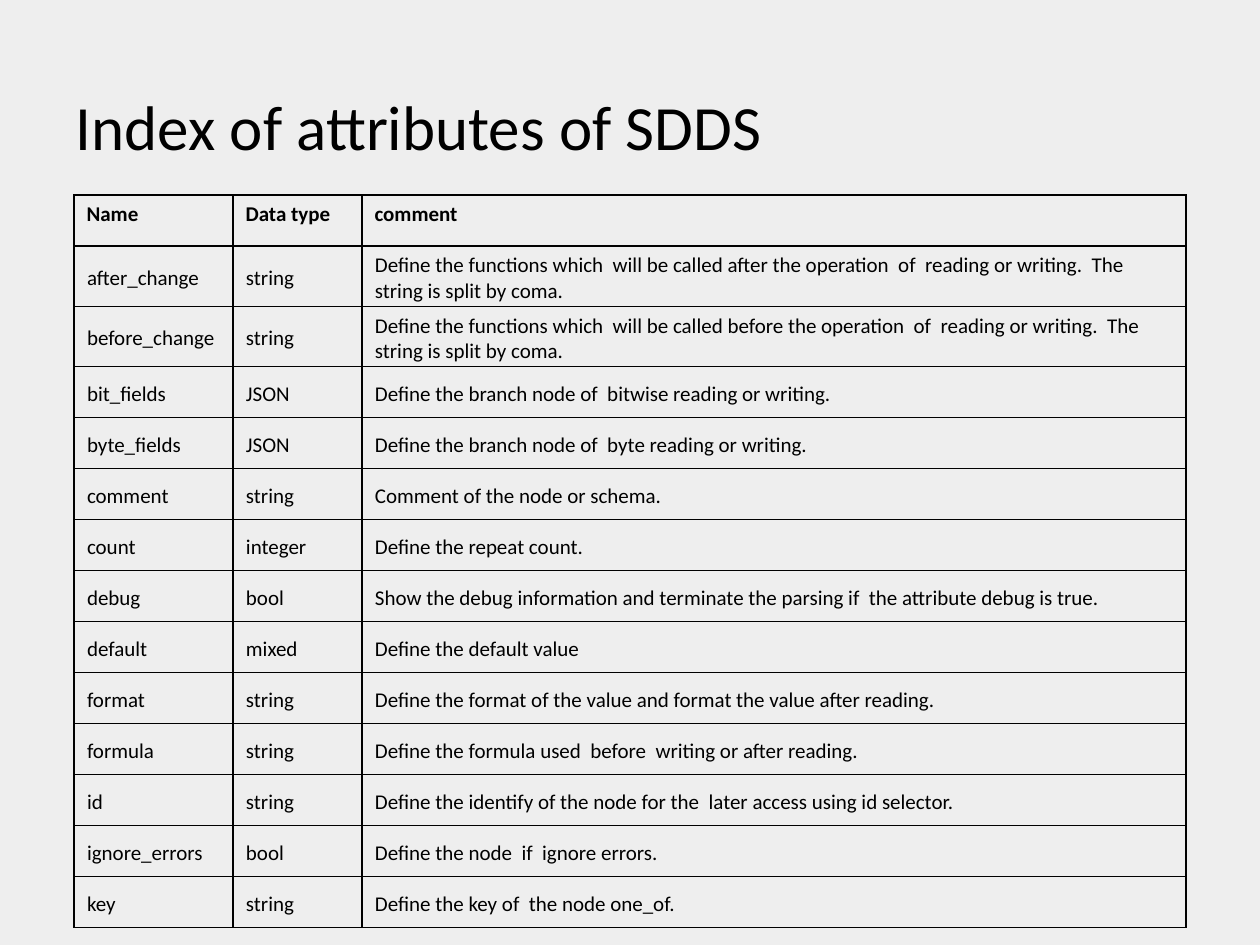
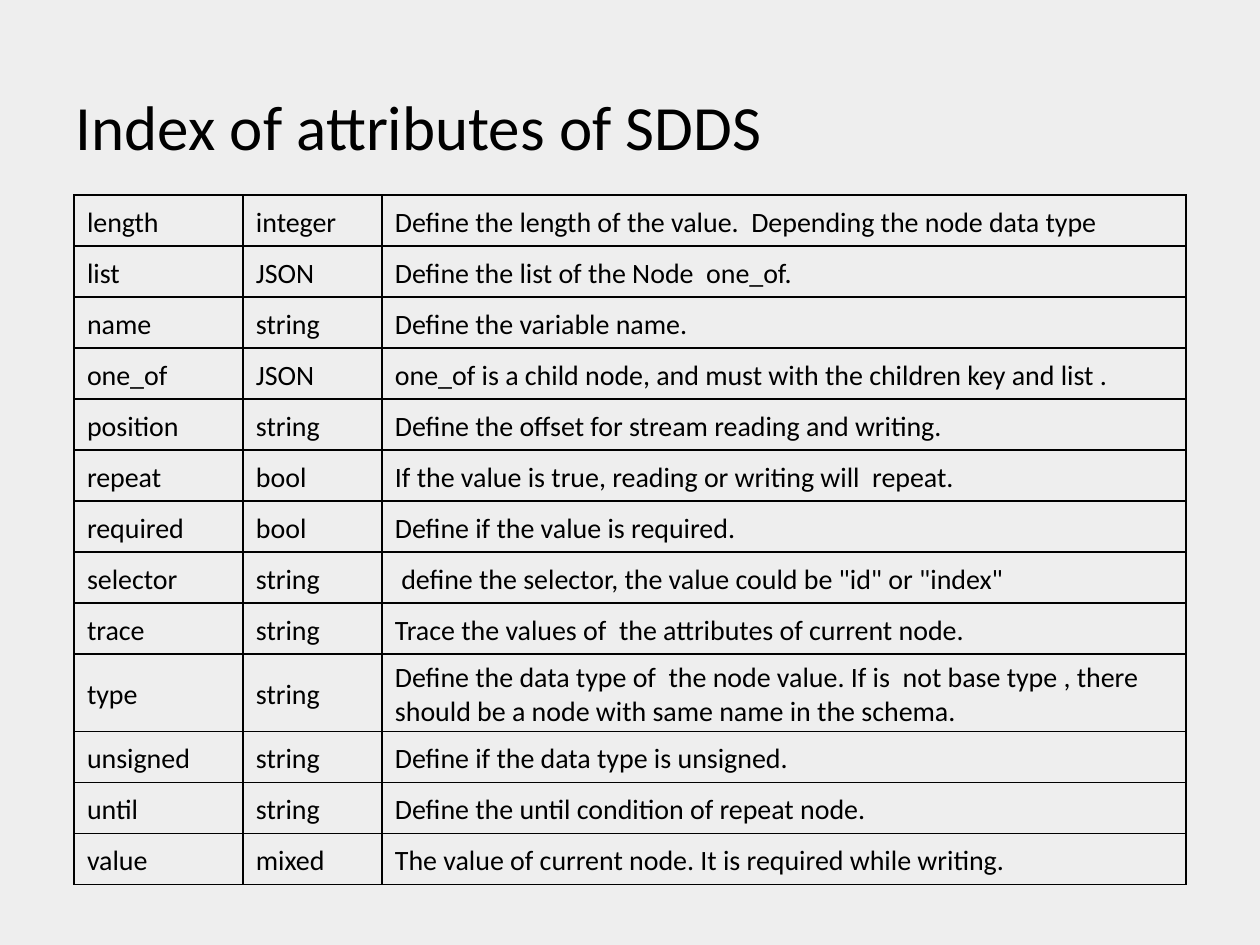
from lxml.etree import SubElement
from pptx import Presentation
from pptx.dml.color import RGBColor
from pptx.enum.text import MSO_ANCHOR
from pptx.oxml.ns import qn
from pptx.util import Emu, Pt

# Shared look
FONT, INK, PAPER = "Calibri", "000000", "EEEEEE"
TITLE = "Index of attributes of SDDS"
LEFT, TOP, ROW = 74, 195, 51  # table corner and row height
HEAD = ("Name", "Data type", "comment")

FIRST = [
    ("after_change", "string", "Define the functions which  will be called after the "
     "operation  of  reading or writing.  The string is split by coma."),
    ("before_change", "string", "Define the functions which  will be called before the "
     "operation  of  reading or writing.  The string is split by coma."),
    ("bit_fields", "JSON", "Define the branch node of  bitwise reading or writing."),
    ("byte_fields", "JSON", "Define the branch node of  byte reading or writing."),
    ("comment", "string", "Comment of the node or schema."),
    ("count", "integer", "Define the repeat count."),
    ("debug", "bool", "Show the debug information and terminate the parsing if  "
     "the attribute debug is true."),
    ("default", "mixed", "Define the default value "),
    ("format", "string", "Define the format of the value and format the value after reading."),
    ("formula", "string", "Define the formula used  before  writing or after reading."),
    ("id", "string", "Define the identify of the node for the  later access using id selector."),
    ("ignore_errors", "bool", "Define the node  if  ignore errors."),
    ("key", "string", "Define the key of  the node one_of."),
]

SECOND = [
    ("length", "integer", "Define the length of the value.  Depending the node data type "),
    ("list", "JSON", "Define the list of the Node  one_of."),
    ("name", "string", "Define the variable name."),
    ("one_of", "JSON", "one_of is a child node, and must with the children key and list ."),
    ("position", "string", "Define the offset for stream reading and writing. "),
    ("repeat", "bool", "If the value is true, reading or writing will  repeat."),
    ("required", "bool", "Define if the value is required."),
    ("selector", "string", ' define the selector, the value could be "id" or "index"'),
    ("trace", "string", "Trace the values of  the attributes of current node."),
    ("type", "string", "Define the data type of  the node value. If is  not base type , "
     "there should be a node with same name in the schema. "),
    ("unsigned", "string", "Define if the data type is unsigned."),
    ("until", "string", "Define the until condition of repeat node."),
    ("value", "mixed", "The value of current node. It is required while writing. "),
]


def px(count):
    return Emu(round(count * 914400 / 126))


def color(code):
    return RGBColor.from_string(code)


def write(frame, text, size, bold=False):
    para = frame.paragraphs[0]
    para.text = text
    font = para.font
    font.name, font.size, font.bold = FONT, Pt(size), bold
    font.color.rgb = color(INK)


def add_title(slide):
    box = slide.shapes.add_textbox(px(63), px(49), px(1134), px(116))
    frame = box.text_frame
    frame.word_wrap = True
    frame.vertical_anchor = MSO_ANCHOR.BOTTOM
    frame.margin_left = frame.margin_right = px(13)
    frame.margin_bottom = px(2)
    write(frame, TITLE, 36)


def add_border(cell):
    props = cell._tc.get_or_add_tcPr()
    for side in ("lnL", "lnR", "lnT", "lnB"):
        line = SubElement(props, qn("a:" + side), w=str(Pt(0.75)))
        fill = SubElement(line, qn("a:solidFill"))
        SubElement(fill, qn("a:srgbClr"), val=INK)


def set_cell(cell, text, size, head):
    add_border(cell)
    cell.fill.background()
    if not head:
        cell.vertical_anchor = MSO_ANCHOR.MIDDLE
        cell.margin_left = cell.margin_right = px(13)
        cell.margin_top, cell.margin_bottom = px(7), px(3)
    write(cell.text_frame, text, size, head)


def add_grid(slide, rows, widths, size):
    shape = slide.shapes.add_table(len(rows), len(widths), px(LEFT), px(TOP),
                                   px(sum(widths)), px(ROW * len(rows)))
    table = shape.table
    table.first_row = table.horz_banding = False
    for column, width in zip(table.columns, widths):
        column.width = px(width)
    for index, row in enumerate(rows):
        table.rows[index].height = px(ROW)
        for cell, text in zip(table.rows[index].cells, row):
            set_cell(cell, text, size, row is HEAD)


def main():
    deck = Presentation()
    deck.slide_width, deck.slide_height = px(1260), px(945)
    paper = deck.slide_master.background.fill
    paper.solid()
    paper.fore_color.rgb = color(PAPER)

    # One slide per part of the index
    parts = [([HEAD] + FIRST, (159, 129, 824), 12),
             (SECOND, (169, 139, 804), 16)]
    for rows, widths, size in parts:
        slide = deck.slides.add_slide(deck.slide_layouts[6])
        add_title(slide)
        add_grid(slide, rows, widths, size)
    deck.save("out.pptx")


main()
